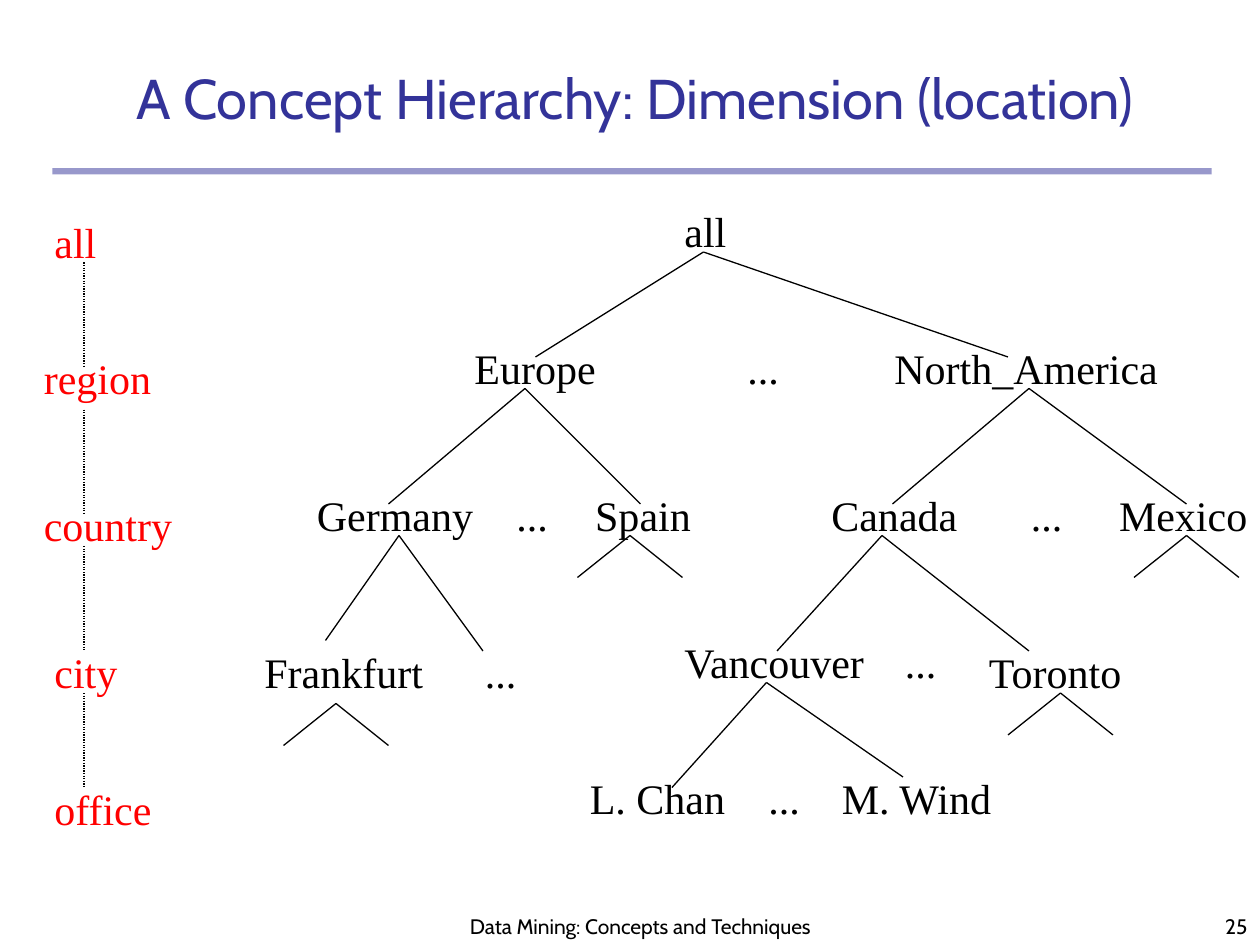
from pptx import Presentation
from pptx.dml.color import RGBColor
from pptx.enum.dml import MSO_LINE
from pptx.enum.shapes import MSO_CONNECTOR, MSO_SHAPE
from pptx.enum.text import MSO_ANCHOR as Anchor, MSO_AUTO_SIZE as Auto, PP_ALIGN as Align
from pptx.oxml.ns import qn
from pptx.util import Pt
from lxml.etree import SubElement

PX = 7620  # EMU per px, 120 px to the inch
NAVY = RGBColor(0x33, 0x33, 0x99)
BLACK = RGBColor(0, 0, 0)
RED = RGBColor(0xFF, 0, 0)
SERIF = "Times New Roman"
SANS = "Cabin"
HIGH = 60  # label height

# Title and footer: text, box, size, colour, alignment
FRAME = [
    ("A Concept Hierarchy: Dimension (location)", (80, 50, 1050, 80), 32, NAVY, Align.CENTER),
    ("Data Mining: Concepts and Techniques", (420, 830, 380, 70), 12, BLACK, Align.CENTER),
    ("25", (950, 840, 250, 60), 12, BLACK, Align.RIGHT),
]
# Level names: text, left, top, width
LEVELS = [
    ("all", 40, 200, 64),
    ("region", 30, 330, 127),
    ("country", 30, 470, 147),
    ("city", 40, 610, 85),
    ("office", 40, 740, 118),
]
# Tree nodes: text, left, top, width
NODES = [
    ("all", 640, 190, 64),
    ("Europe", 440, 320, 141),
    ("...", 700, 320, 54),
    ("North_America", 840, 320, 276),
    ("Germany", 290, 460, 174),
    ("...", 480, 460, 54),
    ("Spain", 555, 460, 116),
    ("Canada", 780, 460, 145),
    ("...", 970, 460, 54),
    ("Mexico", 1054, 460, 146),
    ("Frankfurt", 240, 610, 176),
    ("...", 450, 610, 54),
    ("Vancouver", 640, 600, 200),
    ("...", 850, 600, 54),
    ("Toronto", 930, 610, 153),
    ("L. Chan", 550, 730, 154),
    ("...", 720, 730, 54),
    ("M. Wind", 790, 730, 169),
]
# Branches: fork point, then the two ends
FORKS = [
    ((670, 240), (510, 340), (960, 340)),
    ((500, 370), (370, 480), (610, 480)),
    ((980, 370), (850, 480), (1130, 480)),
    ((380, 510), (310, 610), (460, 620)),
    ((840, 510), (740, 620), (980, 620)),
    ((730, 650), (640, 750), (860, 740)),
]
# Fork points of the short open branches
STUBS = [(600, 510), (1130, 510), (320, 670), (1010, 660)]
STUB_W, STUB_H = 50, 40
# Dotted lines between levels: top, bottom
LINK_X = 80
LINKS = [(250, 350), (390, 490), (520, 620), (660, 750)]

deck = Presentation()
deck.slide_width, deck.slide_height = 1200 * PX, 900 * PX
slide = deck.slides.add_slide(deck.slide_layouts[6])
shapes = slide.shapes


def emu(nums):
    return [n * PX for n in nums]


def put(text, box, font, color, body, align=Align.LEFT):
    frame = shapes.add_textbox(*emu(box)).text_frame
    para = frame.paragraphs[0]
    para.alignment = align
    run = para.add_run()
    run.text = text
    run.font.color.rgb = color
    for part, form in ((frame, body), (run.font, font)):
        for key, val in form.items():
            setattr(part, key, val)


def draw(start, end, dash=None):
    line = shapes.add_connector(MSO_CONNECTOR.STRAIGHT, *emu(start + end))
    line.line.color.rgb = BLACK
    line.line.width = Pt(0.75)
    if dash:
        line.line.dash_style = dash
    SubElement(line._element.spPr, qn("a:effectLst"))


# Rule under the title, half transparent
rule = shapes.add_shape(MSO_SHAPE.RECTANGLE, *emu((50, 160, 1104, 6)))
rule.shadow.inherit = False
rule.line.fill.background()
rule.fill.solid()
rule.fill.fore_color.rgb = NAVY
tint = rule._element.spPr.find(".//" + qn("a:srgbClr"))
SubElement(tint, qn("a:alpha")).set("val", "50000")

# Title and footer
body = {"word_wrap": True, "vertical_anchor": Anchor.BOTTOM}
for text, box, size, color, align in FRAME:
    put(text, box, {"name": SANS, "size": Pt(size)}, color, body, align)

# Level names and tree nodes
body = {"word_wrap": False, "auto_size": Auto.SHAPE_TO_FIT_TEXT}
font = {"name": SERIF, "size": Pt(24)}
for group, color in ((LEVELS, RED), (NODES, BLACK)):
    for text, left, top, wide in group:
        put(text, (left, top, wide, HIGH), font, color, body)

# Branches
stubs = [((x, y), (x - STUB_W, y + STUB_H), (x + STUB_W, y + STUB_H)) for x, y in STUBS]
for fork, *ends in FORKS + stubs:
    for end in ends:
        draw(fork, end)

# Dotted lines between levels
for top, low in LINKS:
    draw((LINK_X, top), (LINK_X, low), MSO_LINE.ROUND_DOT)

deck.save("out.pptx")
